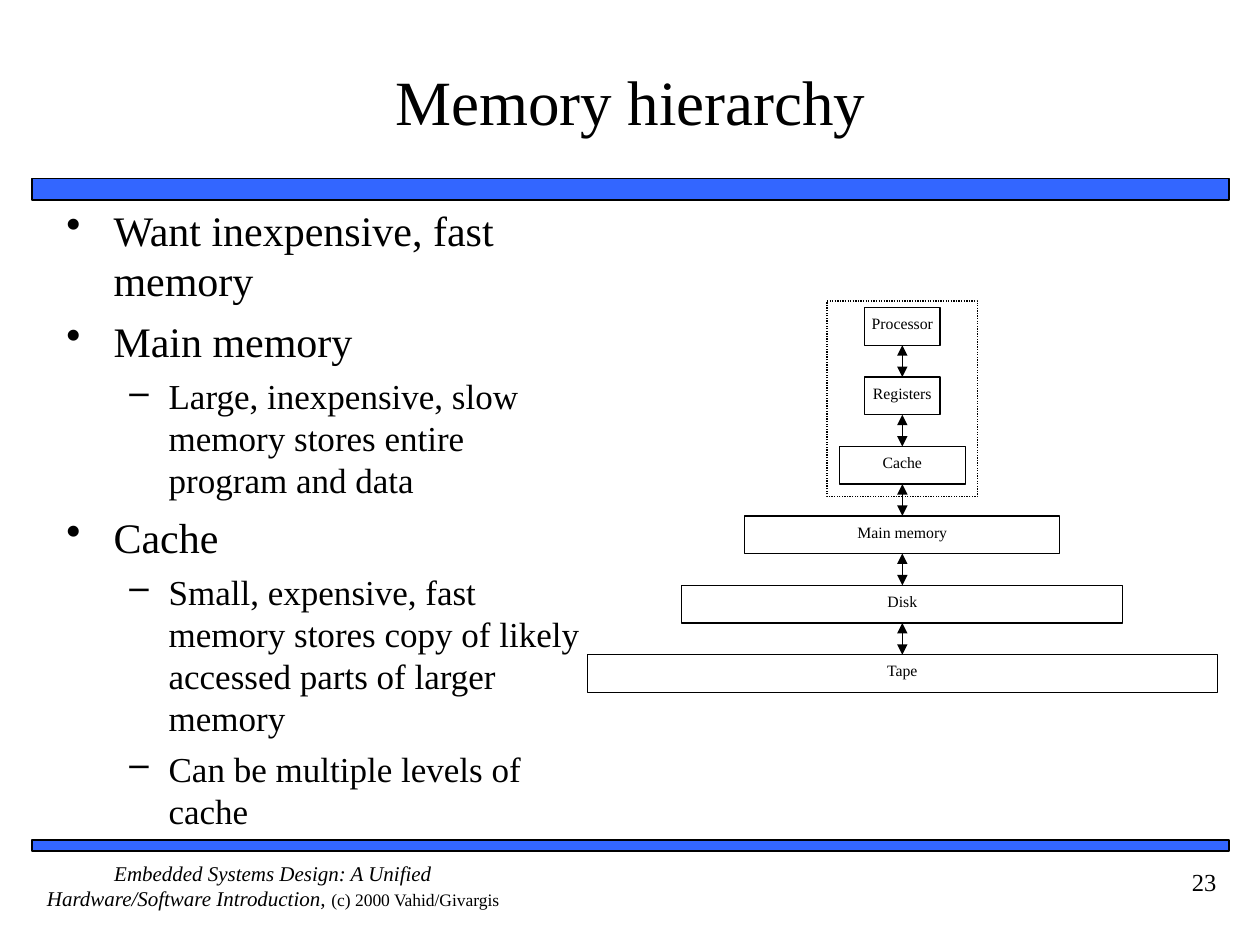
from itertools import pairwise

from lxml.etree import SubElement
from pptx import Presentation
from pptx.dml.color import RGBColor
from pptx.enum.dml import MSO_LINE
from pptx.enum.shapes import MSO_CONNECTOR, MSO_SHAPE
from pptx.enum.text import MSO_ANCHOR, PP_ALIGN
from pptx.oxml.ns import qn
from pptx.util import Cm, Pt

FONT = "Times New Roman"
BLACK = "000000"
WHITE = "FFFFFF"
BLUE = "3366FF"

BODY = [
    (0, "Want inexpensive, fast memory"),
    (0, "Main memory"),
    (1, "Large, inexpensive, slow memory stores entire program and data"),
    (0, "Cache"),
    (1, "Small, expensive, fast memory stores copy of likely accessed parts of larger memory"),
    (1, "Can be multiple levels of cache"),
]
BULLETS = [("•", 0.95, 0.95, 24, 6), ("–", 2.06, 0.79, 20, 5)]

STORES = [
    ("Processor", 1.52, 0),
    ("Registers", 1.52, 0),
    ("Cache", 2.54, 0.25),
    ("Main memory", 6.35, 0.25),
    ("Disk", 8.89, 0.25),
    ("Tape", 12.7, 0.25),
]
CENTER = 18.19
STORE_TOP = 6.2
STORE_HEIGHT = 0.76
STORE_PITCH = 1.4


def color(value):
    return RGBColor.from_string(value)


def set_font(paragraph, size=None):
    paragraph.font.name = FONT
    paragraph.font.color.rgb = color(BLACK)
    if size:
        paragraph.font.size = Pt(size)


def set_frame(shape, side, top, anchor=MSO_ANCHOR.TOP):
    frame = shape.text_frame
    frame.word_wrap = True
    frame.vertical_anchor = anchor
    frame.margin_left = frame.margin_right = Cm(side)
    frame.margin_top = frame.margin_bottom = Cm(top)
    return frame


def write(frame, text, size, alignment):
    paragraph = frame.paragraphs[0]
    paragraph.text = text
    paragraph.alignment = alignment
    set_font(paragraph, size)


def add_box(page, left, top, width, height, fill=None, weight=0.75):
    box = page.shapes.add_shape(
        MSO_SHAPE.RECTANGLE, Cm(left), Cm(top), Cm(width), Cm(height)
    )
    box.shadow.inherit = False
    if fill:
        box.fill.solid()
        box.fill.fore_color.rgb = color(fill)
    else:
        box.fill.background()
    box.line.color.rgb = color(BLACK)
    box.line.width = Pt(weight)
    return box


def add_text(page, left, top, width, height, side=0.25, inset=0.13, anchor=MSO_ANCHOR.TOP):
    box = page.shapes.add_textbox(Cm(left), Cm(top), Cm(width), Cm(height))
    return set_frame(box, side, inset, anchor)


def add_bullets(frame):
    for index, (level, text) in enumerate(BODY):
        mark, indent, hanging, size, space = BULLETS[level]
        paragraph = frame.paragraphs[0] if index == 0 else frame.add_paragraph()
        paragraph.text = text
        paragraph.level = level
        properties = paragraph._p.get_or_add_pPr()
        properties.set("marL", str(Cm(indent)))
        properties.set("indent", str(-Cm(hanging)))
        SubElement(properties, qn("a:buChar"), char=mark)
        if index:
            paragraph.space_before = Pt(space)
        set_font(paragraph, size)


def add_store(page, index, name, width, side):
    top = STORE_TOP + index * STORE_PITCH
    box = add_box(page, CENTER - width / 2, top, width, STORE_HEIGHT, WHITE)
    write(set_frame(box, side, 0.13), name, 9, PP_ALIGN.CENTER)
    return box


def add_double_arrow(page, upper, lower):
    arrow = page.shapes.add_connector(MSO_CONNECTOR.STRAIGHT, 0, 0, 0, 0)
    arrow.begin_connect(upper, 2)
    arrow.end_connect(lower, 0)
    arrow.line.color.rgb = color(BLACK)
    arrow.line.width = Pt(0.75)
    line = arrow.line._get_or_add_ln()
    for end in ("a:headEnd", "a:tailEnd"):
        SubElement(line, qn(end), type="triangle")
    SubElement(arrow._element.spPr, qn("a:effectLst"))


def add_hierarchy(page):
    stores = [add_store(page, index, *store) for index, store in enumerate(STORES)]
    chip = add_box(page, CENTER - 1.52, 6.07, 3.04, 3.94)
    chip.line.dash_style = MSO_LINE.ROUND_DOT
    for upper, lower in pairwise(stores):
        add_double_arrow(page, upper, lower)


def add_footer(page):
    paragraph = add_text(page, 0.64, 17.35, 9.73, 1.27, 0, 0).paragraphs[0]
    paragraph.alignment = PP_ALIGN.CENTER
    set_font(paragraph)
    for text, size, italic in (
        ("Embedded Systems Design: A Unified Hardware/Software Introduction, ", 12, True),
        ("(c) 2000 Vahid/Givargis", 10, False),
    ):
        span = paragraph.add_run()
        span.text = text
        span.font.size = Pt(size)
        span.font.italic = italic
    number = add_text(page, 22.23, 17.35, 2.54, 1.27)
    write(number, "23", 14, PP_ALIGN.RIGHT)


def main():
    deck = Presentation()
    deck.slide_width = Cm(25.4)
    deck.slide_height = Cm(19.05)
    page = deck.slides.add_slide(deck.slide_layouts[6])
    for top, height in ((3.6, 0.43), (16.94, 0.21)):
        add_box(page, 0.64, top, 24.13, height, BLUE, 1)
    add_footer(page)
    title = add_text(page, 1.07, 0.43, 23.28, 3.18, 0, 0.13, MSO_ANCHOR.MIDDLE)
    write(title, "Memory hierarchy", 36, PP_ALIGN.CENTER)
    add_bullets(add_text(page, 1.09, 3.99, 10.9, 12.85))
    add_hierarchy(page)
    deck.save("out.pptx")


if __name__ == "__main__":
    main()
